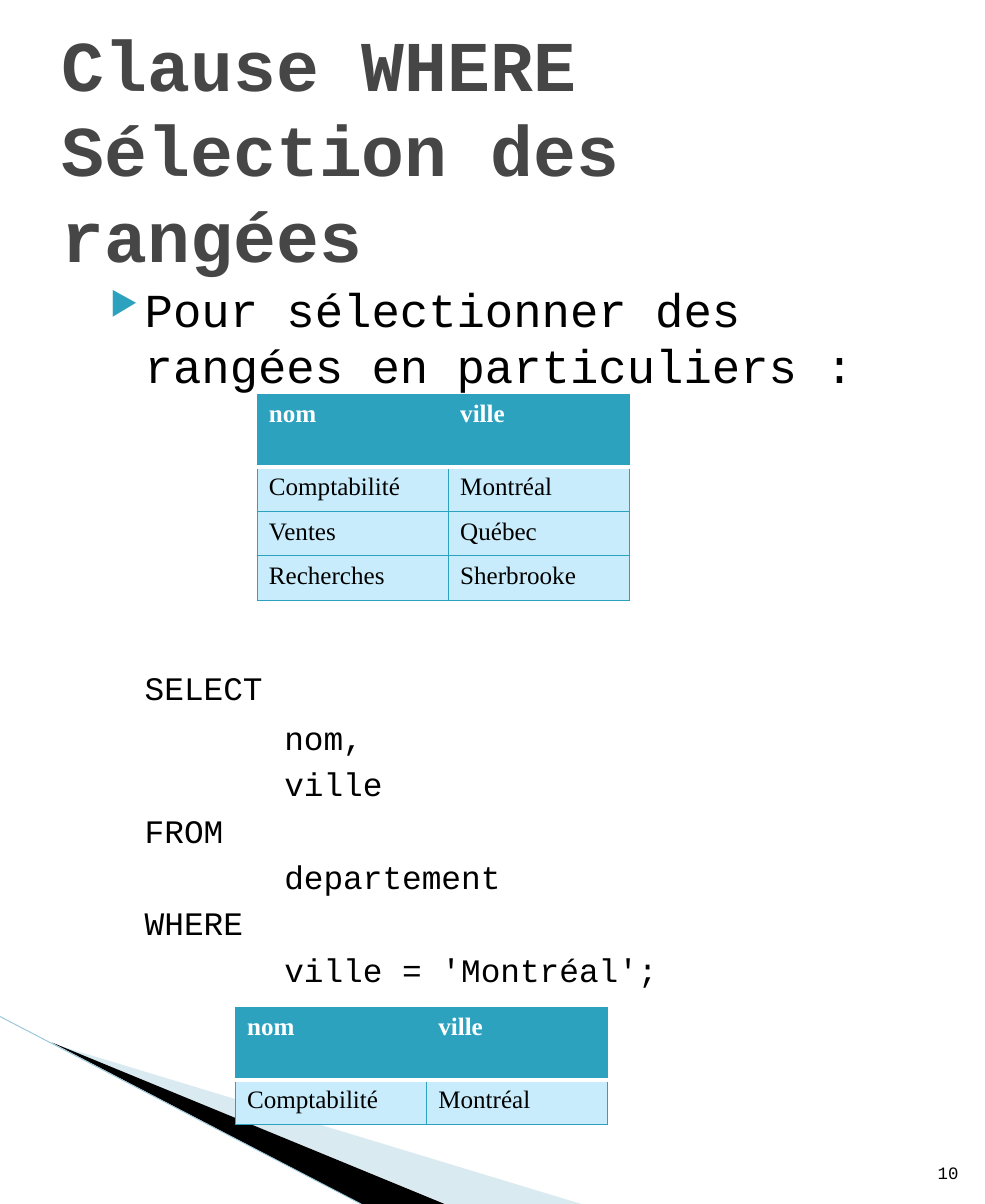
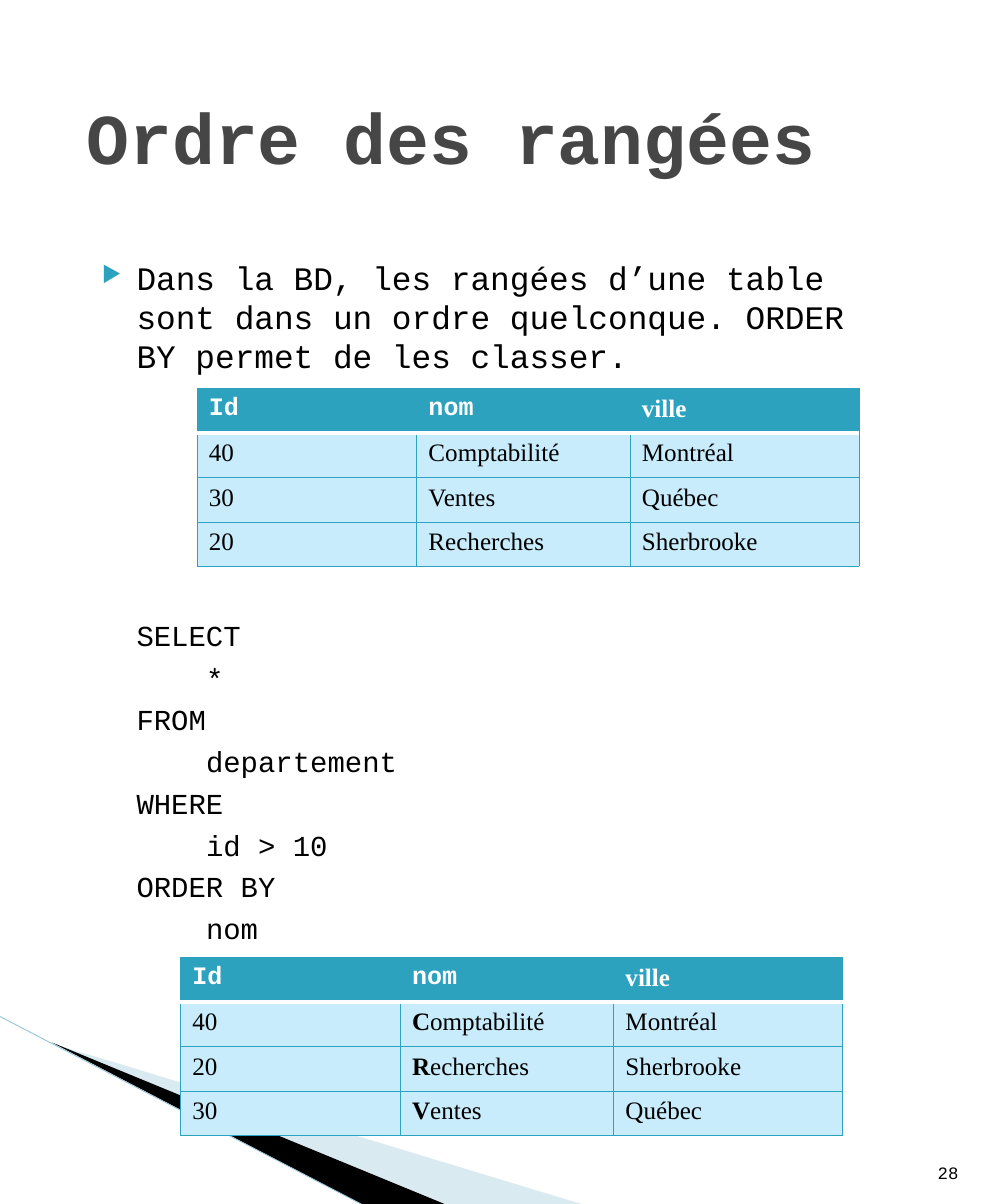
from lxml.etree import SubElement
from pptx import Presentation
from pptx.dml.color import RGBColor
from pptx.enum.shapes import MSO_CONNECTOR
from pptx.enum.text import MSO_ANCHOR, MSO_AUTO_SIZE, PP_ALIGN
from pptx.oxml.ns import qn
from pptx.util import Cm, Pt

TEAL, PALE, WHITE, BLACK = "2DA2BF", "C8ECFB", "FFFFFF", "000000"
GREY, MIST, SKY = "464646", "A0CBDC", "97C5D8"
MONO, SERIF = "Courier New", "Times New Roman"
FRAME = dict(word_wrap=True, auto_size=MSO_AUTO_SIZE.NONE,
             margin_left=Cm(0.46), margin_right=Cm(0.46),
             margin_top=Cm(0.23), margin_bottom=Cm(0.23))
CELL = dict(margin_left=Cm(0.43), margin_right=Cm(0.43),
            margin_top=Cm(0.23), margin_bottom=Cm(0.23),
            vertical_anchor=MSO_ANCHOR.TOP)


def hue(code):
    return RGBColor.from_string(code)


def form(item, **values):
    for key, value in values.items():
        if key == "color":
            item.color.rgb = hue(value)
        else:
            setattr(item, key, value)


# Content: places in cm, "|" ends a bold start, a leading tab indents code
NARROW, WIDE = [6.99, 6.62], [8.03, 7.8, 8.36]
slides = [
    dict(
        title="Clause WHERE\vSélection des rangées", head=(1.8, 1.75, 32.41, 7.34),
        page="10", body=(3, 10, 30.6, 32.16), size=49, code=34, gap=284, after=4,
        tab=6.93, point="Pour sélectionner des rangées en particuliers :",
        lines=["SELECT", "\tnom,", "\tville", "FROM", "\tdepartement",
               "WHERE", "\tville = 'Montréal';"],
        cols=NARROW, top=2.67, fonts=[SERIF, SERIF],
        tables=[
            (9.4, 14.4, [["nom", "ville"], ["Comptabilité", "Montréal"],
                         ["Ventes", "Québec"], ["Recherches", "Sherbrooke"]]),
            (8.6, 36.8, [["nom", "ville"], ["Comptabilité", "Montréal"]]),
        ]),
    dict(
        title="Ordre des rangées", head=(2.7, 2.2, 30.6, 5.5),
        page="28", body=(2.7, 9.17, 30.6, 29.95), size=34, code=30, gap=251, after=1,
        tab=4.37, point="Dans la BD, les rangées d’une table sont dans un ordre "
                        "quelconque. ORDER BY permet de les classer.",
        lines=["SELECT", "\t*", "FROM", "\tdepartement", "WHERE", "\tid > 10",
               "ORDER BY", "\tnom"],
        cols=WIDE, top=1.63, fonts=[MONO, MONO, SERIF],
        tables=[
            (7.2, 14.2, [["Id", "nom", "ville"], ["40", "Comptabilité", "Montréal"],
                         ["30", "Ventes", "Québec"],
                         ["20", "Recherches", "Sherbrooke"]]),
            (6.6, 35, [["Id", "nom", "ville"], ["40", "C|omptabilité", "Montréal"],
                       ["20", "R|echerches", "Sherbrooke"],
                       ["30", "V|entes", "Québec"]]),
        ]),
]

deck = Presentation()
form(deck, slide_width=Cm(36), slide_height=Cm(44))
plain = deck.slide_layouts[5]

for index, data in enumerate(slides):
    slide = deck.slides.add_slide(plain)
    shapes = slide.shapes

    # Corner wedges and line, kept on the shared layout
    if index == 0:
        decor = []
        for code, points in [(MIST, [(1.95, 38.15), (21.25, 44), (16.3, 44)]),
                             (BLACK, [(1.9, 38.1), (16.25, 44), (13.2, 44)])]:
            first, *rest = [(Cm(x), Cm(y)) for x, y in points]
            path = shapes.build_freeform(*first)
            path.add_line_segments(rest)
            wedge = path.convert_to_shape()
            wedge.shadow.inherit = False
            wedge.fill.solid()
            wedge.fill.fore_color.rgb = hue(code)
            wedge.line.fill.background()
            if code == MIST:
                tint = wedge.element.spPr.find(".//" + qn("a:srgbClr"))
                SubElement(tint, qn("a:alpha"), val="40000")
            decor.append(wedge)
        edge = shapes.add_connector(MSO_CONNECTOR.STRAIGHT, 0, Cm(37.15), Cm(13.2), Cm(44))
        form(edge.line, color=SKY, width=Pt(0.95))
        SubElement(edge.element.spPr, qn("a:effectLst"))
        decor.append(edge)
        for spot, shape in enumerate(decor, 2):
            plain.element.cSld.spTree.insert(spot, shape.element)

    # Title
    title = shapes.title
    left, top, width, height = map(Cm, data["head"])
    form(title, left=left, top=top, width=width, height=height)
    form(title.text_frame, text=data["title"], vertical_anchor=MSO_ANCHOR.MIDDLE, **FRAME)
    para = title.text_frame.paragraphs[0]
    para.alignment = PP_ALIGN.LEFT
    for run in para.runs:
        form(run.font, name=MONO, size=Pt(74), bold=True, color=GREY)

    # Bullet point and code
    frame = shapes.add_textbox(*map(Cm, data["body"])).text_frame
    form(frame, **FRAME)
    for row, line in enumerate([data["point"]] + data["lines"]):
        para = frame.paragraphs[0] if row == 0 else frame.add_paragraph()
        para.text = line.strip()
        para.space_before = Pt(data["gap"] if row == 1 else 7.2)
        if row == 1:
            para.space_after = Pt(data["after"])
        form(para.runs[0].font, name=MONO, color=BLACK,
             size=Pt(data["code"] if row else data["size"]))
        props = para._p.get_or_add_pPr()
        props.set("marL", str(Cm(data["tab"] if line[0] == "\t" else 1.83)))
        if row == 0:
            props.set("indent", str(Cm(-1.27)))
            SubElement(SubElement(props, qn("a:buClr")), qn("a:srgbClr"), val=TEAL)
            SubElement(props, qn("a:buSzPct"), val="68000")
            SubElement(props, qn("a:buChar"), char="▶")

    # Page number
    frame = shapes.add_textbox(Cm(32.8), Cm(41.12), Cm(2.69), Cm(2.34)).text_frame
    form(frame, text=data["page"], vertical_anchor=MSO_ANCHOR.BOTTOM, **FRAME)
    para = frame.paragraphs[0]
    para.alignment = PP_ALIGN.RIGHT
    form(para.runs[0].font, name=MONO, size=Pt(18), color=BLACK)

    # Tables
    for left, top, rows in data["tables"]:
        highs = [data["top"]] + [1.62] * (len(rows) - 1)
        grid = shapes.add_table(len(rows), len(data["cols"]), Cm(left), Cm(top),
                                Cm(sum(data["cols"])), Cm(sum(highs))).table
        grid.horz_banding = False
        for col, width in zip(grid.columns, data["cols"]):
            col.width = Cm(width)
        for r, words in enumerate(rows):
            grid.rows[r].height = Cm(highs[r])
            for c, word in enumerate(words):
                cell = grid.cell(r, c)
                form(cell, **CELL)
                props = cell._tc.get_or_add_tcPr()
                for side in "LRTB":
                    rule = (r, side) in [(0, "B"), (1, "T")]
                    line = SubElement(props, qn("a:ln" + side),
                                      w=str(Pt(4.33 if rule else 0.75)))
                    fill = SubElement(line, qn("a:solidFill"))
                    SubElement(fill, qn("a:srgbClr"), val=WHITE if rule else TEAL)
                cell.fill.solid()
                cell.fill.fore_color.rgb = hue(PALE if r else TEAL)
                start, bar, rest = word.partition("|")
                for part, bold in [(start, r == 0 or bar != ""), (rest, False)]:
                    if part:
                        run = cell.text_frame.paragraphs[0].add_run()
                        run.text = part
                        form(run.font, name=SERIF if r else data["fonts"][c],
                             size=Pt(26), bold=bold, color=BLACK if r else WHITE)

deck.save("out.pptx")
